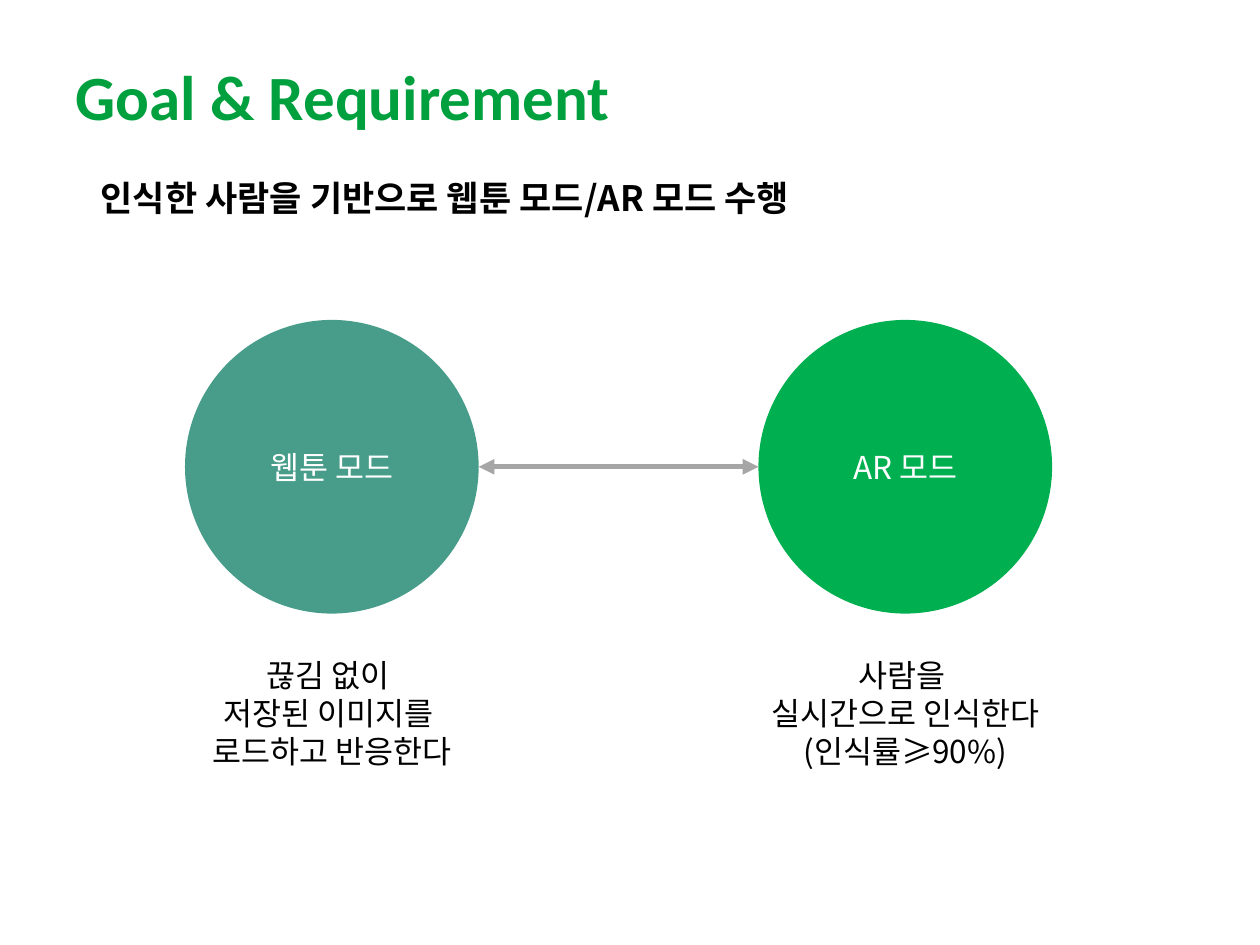
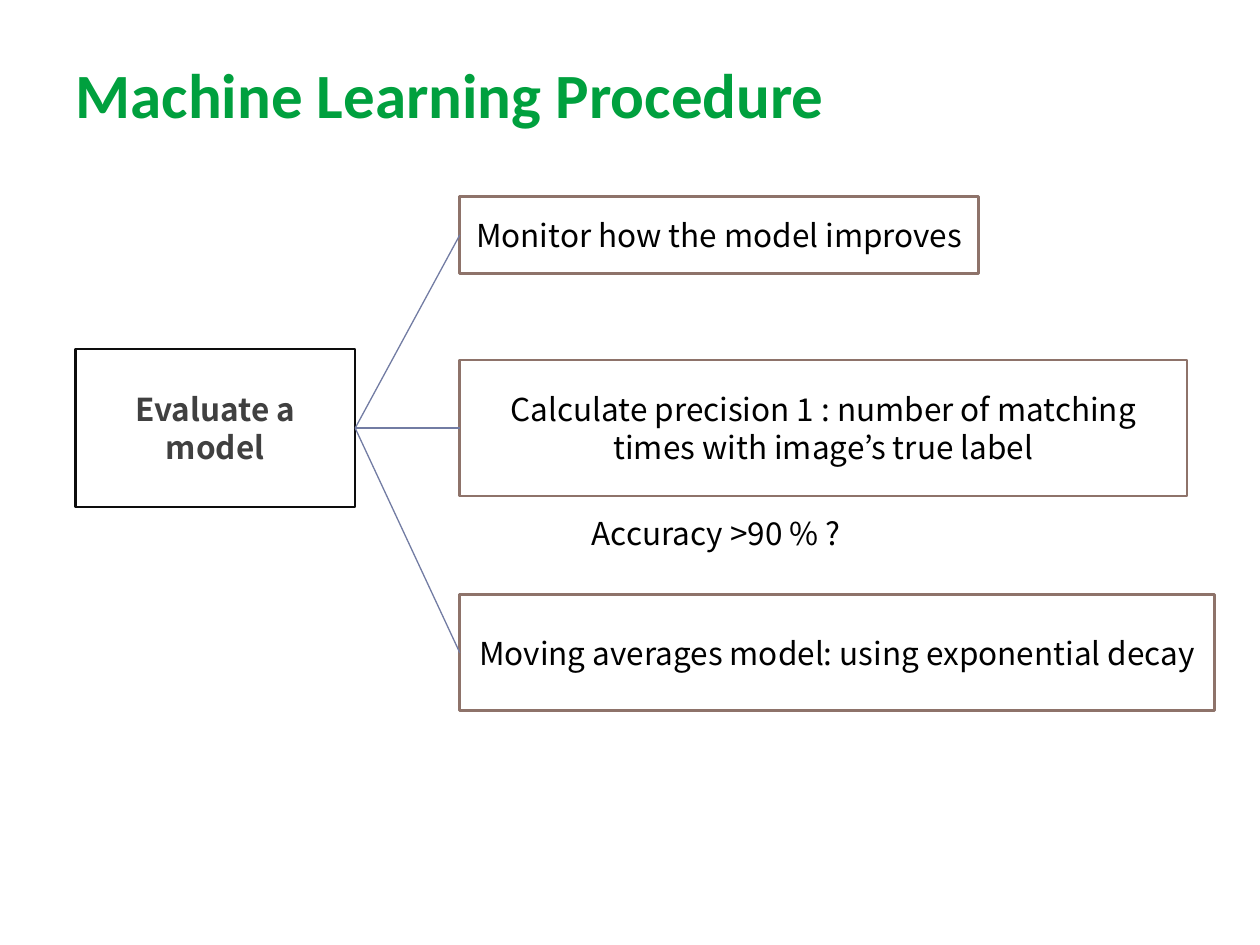
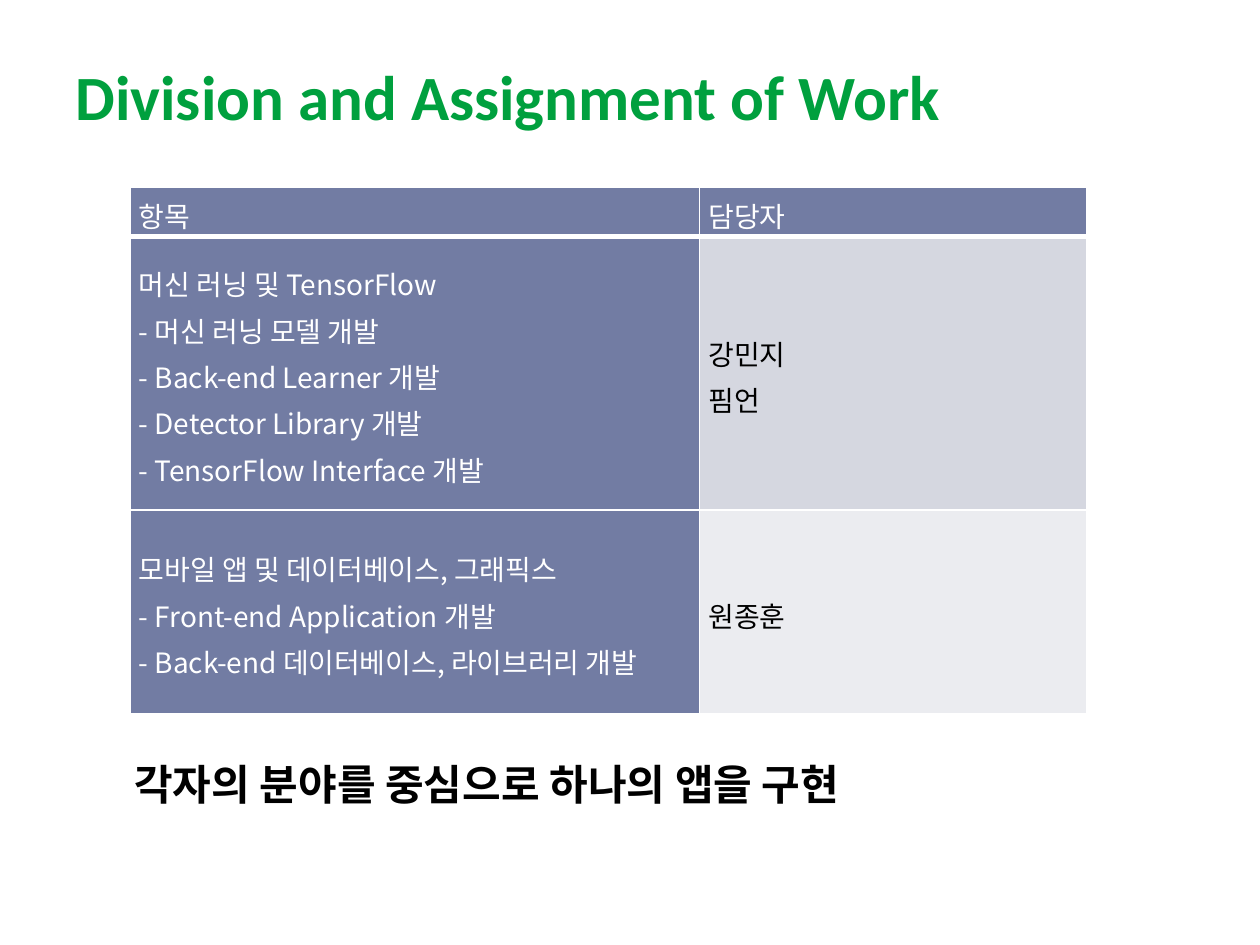
from pptx import Presentation
from pptx.dml.color import RGBColor
from pptx.enum.shapes import MSO_CONNECTOR, MSO_SHAPE
from pptx.enum.text import MSO_ANCHOR, MSO_AUTO_SIZE, PP_ALIGN
from pptx.oxml.ns import qn
from pptx.util import Cm, Pt
from lxml.etree import SubElement

COLORS = {
    "title": "00A03E", "black": "000000", "white": "FFFFFF",
    "teal": "479D8A", "green": "00B050", "arrow": "A6A6A6",
    "model": "404040", "model_line": "0D0D0D", "step_line": "8E736A",
    "slate": "727CA3", "band": "D5D7E0", "band_light": "EBECF0",
}
RGB = {name: RGBColor.from_string(value) for name, value in COLORS.items()}
FONT = "Noto Sans CJK KR"
TIGHT = Pt(21.6)


def write(tf, lines, size=18, color="black", bold=False, align=PP_ALIGN.LEFT,
          spacing=TIGHT, font=FONT):
    """Fill a text frame; a newline inside a line becomes a line break."""
    tf.word_wrap = True
    for i, line in enumerate(lines):
        p = tf.paragraphs[0] if i == 0 else tf.add_paragraph()
        p.alignment = align
        p.line_spacing = spacing
        for j, text in enumerate(line.split("\n")):
            if j:
                p.add_line_break()
            r = p.add_run()
            r.text = text
            r.font.name = font
            r.font.size = Pt(size)
            r.font.bold = bold
            r.font.color.rgb = RGB[color]
            SubElement(r.font._element, qn("a:ea"), typeface=FONT)


def add_block(s, kind, box, fill, line=None):
    """Add a flat preset shape with centred text."""
    sp = s.shapes.add_shape(kind, *[Cm(v) for v in box])
    sp.shadow.inherit = False
    sp.fill.solid()
    sp.fill.fore_color.rgb = RGB[fill]
    if line:
        sp.line.color.rgb = RGB[line]
        sp.line.width = Pt(1.5)
    else:
        sp.line.fill.background()
    sp.text_frame.vertical_anchor = MSO_ANCHOR.MIDDLE
    return sp


prs = Presentation()
prs.slide_width, prs.slide_height = Cm(25.4), Cm(19.05)

# Slides and their shared title style
slides = []
for text, top in [("Goal & Requirement", 1.02), ("Machine Learning Procedure", 0.98),
                  ("Division and Assignment of Work", 1.02)]:
    s = prs.slides.add_slide(prs.slide_layouts[5])
    title = s.shapes.title
    title.left, title.top, title.width, title.height = Cm(1.27), Cm(top), Cm(22.86), Cm(1.8)
    tf = title.text_frame
    tf.auto_size = MSO_AUTO_SIZE.NONE
    tf.vertical_anchor = MSO_ANCHOR.BOTTOM
    write(tf, [text], 36, "title", True, spacing=1.0, font="Calibri")
    slides.append(s)
goal, procedure, division = slides

# Goal: subtitle
sp = goal.shapes.add_textbox(Cm(1.78), Cm(3.05), Cm(23.09), Cm(1.37))
write(sp.text_frame, ["인식한 사람을 기반으로 웹툰 모드/AR 모드 수행"], 20, bold=True, spacing=Pt(35))

# Goal: the two modes with their requirements
diameter, circle_top = 5.92, 6.45
modes = [
    (3.73, "teal", "웹툰 모드", ["끊김 없이 ", "저장된 이미지를 ", "로드하고 반응한다"]),
    (15.29, "green", "AR 모드", ["사람을 ", "실시간으로 인식한다", "(인식률≥90%)"]),
]
for left, fill, name, requirement in modes:
    sp = add_block(goal, MSO_SHAPE.OVAL, (left, circle_top, diameter, diameter), fill)
    write(sp.text_frame, [name], color="white", align=PP_ALIGN.CENTER)
    sp = goal.shapes.add_textbox(Cm(left - 0.89), Cm(13.11), Cm(7.7), Cm(2.57))
    write(sp.text_frame, requirement, align=PP_ALIGN.CENTER)

# Goal: double arrow between the modes
middle = Cm(circle_top + diameter / 2)
arrow = goal.shapes.add_connector(MSO_CONNECTOR.STRAIGHT, Cm(modes[0][0] + diameter), middle,
                                  Cm(modes[1][0]), middle)
arrow.line.color.rgb = RGB["arrow"]
arrow.line.width = Pt(3)
for end in ("a:headEnd", "a:tailEnd"):
    SubElement(arrow.line._get_or_add_ln(), qn(end), type="triangle")
SubElement(arrow._element.spPr, qn("a:effectLst"))

# Procedure: model, its evaluation steps and the links
model = add_block(procedure, MSO_SHAPE.RECTANGLE, (1.52, 7.04, 5.64, 3.18), "white", "model_line")
write(model.text_frame, ["Evaluate a model"], color="model", bold=True, align=PP_ALIGN.CENTER)
steps = [
    (3.96, 10.46, 1.55, "Monitor how the model improves"),
    (7.26, 14.66, 2.74,
     "Calculate precision 1 : number of matching times with image’s true label"),
    (11.99, 15.21, 2.34, "Moving averages model: using exponential decay"),
]
for top, width, height, text in steps:
    step = add_block(procedure, MSO_SHAPE.RECTANGLE, (9.27, top, width, height),
                     "white", "step_line")
    write(step.text_frame, [text], align=PP_ALIGN.CENTER)
    link = procedure.shapes.add_connector(MSO_CONNECTOR.STRAIGHT, 0, 0, 0, 0)
    link.begin_connect(model, 3)
    link.end_connect(step, 1)
    link.line.color.rgb = RGB["slate"]
    link.line.width = Pt(0.75)
    SubElement(link._element.spPr, qn("a:effectLst"))

# Procedure: accuracy question
sp = procedure.shapes.add_textbox(Cm(11.68), Cm(10.24), Cm(5.69), Cm(1.02))
write(sp.text_frame, ["Accuracy >90 % ?"])

# Division: work table
rows = [
    (0.99, "slate", "white", ["항목"], ["담당자"]),
    (5.51, "band", "black",
     ["머신 러닝 및 TensorFlow", "- 머신 러닝 모델 개발",
      "- Back-end Learner 개발\n- Detector Library 개발", "- TensorFlow Interface 개발"],
     ["강민지\n핌언"]),
    (4.11, "band_light", "black",
     ["모바일 앱 및 데이터베이스, 그래픽스\n- Front-end Application 개발",
      "- Back-end 데이터베이스, 라이브러리 개발"],
     ["원종훈"]),
]
table = division.shapes.add_table(len(rows), 2, Cm(2.62), Cm(3.78), Cm(19.28), Cm(10.61)).table
table.first_row = table.horz_banding = False
table.columns[0].width, table.columns[1].width = Cm(11.48), Cm(7.8)
for i, (height, owner_fill, owner_color, work, owner) in enumerate(rows):
    table.rows[i].height = Cm(height)
    cells = [(work, "slate", "white"), (owner, owner_fill, owner_color)]
    for j, (lines, fill, color) in enumerate(cells):
        cell = table.cell(i, j)
        cell.margin_left = cell.margin_right = Cm(0.18)
        cell.margin_top = cell.margin_bottom = 0
        cell.vertical_anchor = MSO_ANCHOR.MIDDLE
        # White borders, thick under the header
        for side in "LRTB":
            thick = (i, side) in [(0, "B"), (1, "T")]
            ln = SubElement(cell._tc.get_or_add_tcPr(), qn("a:ln" + side),
                            w=str(Pt(3 if thick else 1)))
            SubElement(SubElement(ln, qn("a:solidFill")), qn("a:srgbClr"), val=COLORS["white"])
        cell.fill.solid()
        cell.fill.fore_color.rgb = RGB[fill]
        write(cell.text_frame, lines, 16, color, spacing=1.15)

# Division: closing statement
sp = division.shapes.add_textbox(Cm(2.46), Cm(15.29), Cm(15.54), Cm(1.02))
tf = sp.text_frame
tf.margin_top = tf.margin_bottom = 0
tf.vertical_anchor = MSO_ANCHOR.MIDDLE
write(tf, ["각자의 분야를 중심으로 하나의 앱을 구현"], 24, bold=True, spacing=1.0, font="Arial")

prs.save("out.pptx")
